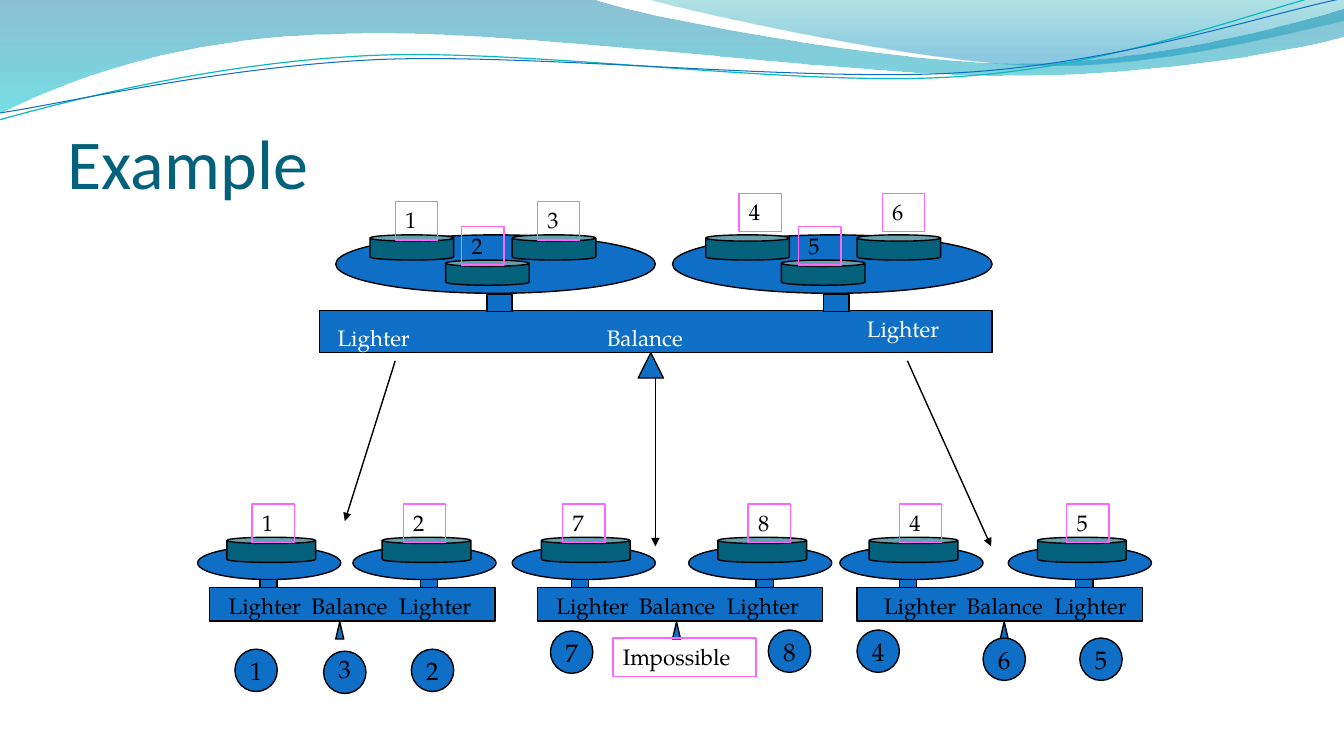
from pptx import Presentation
from pptx import util as u
from pptx.dml.color import RGBColor
from pptx.enum import shapes, text
from pptx.oxml import parse_xml
from pptx.oxml.ns import nsdecls, qn
from lxml import etree

COLORS = {
    "blue": "0F6FC6", "teal": "04617B", "black": "000000", "white": "FFFFFF",
    "pink": "FF66FF", "aqua": "0AB8BF", "deep": "0074A1", "cyan": "00C6CF",
    "sea": "00A1A9", "sky": "008BBF",
}
BODY_FONT = "TeX Gyre Pagella"
KIND = shapes.MSO_SHAPE

FILLED_WAVES = [
    ([[(0, 0)], [(5.87, -0.01)], [(6.34, 0.17), (8.85, 0.63), (10.11, 0.63)],
      [(11.38, 0.63), (12.78, 0.26), (13.33, 0.09)], [(13.35, 0.36)],
      [(13.11, 0.44), (11.6, 0.76), (9.94, 0.75)],
      [(8.29, 0.75), (5.09, 0.28), (3.43, 0.34)],
      [(1.72, 0.36), (0.61, 0.83), (-0.01, 1.13)]],
     [(0, "deep", 45), (1, "cyan", 55)]),
    ([[(6.39, -0.01)], [(6.79, 0.11), (9.09, 0.62), (10.25, 0.65)],
      [(11.41, 0.69), (12.82, 0.32), (13.33, 0.21)], [(13.33, 0)]],
     [(0, "sea", 30), (0.8, "sky", 45)]),
]
LINE_WAVES = [
    ([[(-0.01, 1.19)], [(0.64, 1.01), (2.11, 0.62), (3.69, 0.55)],
      [(5.27, 0.48), (7.9, 0.87), (9.5, 0.76)],
      [(11.1, 0.66), (12.52, 0.08), (13.31, -0.1)]], "aqua", 0.85),
    ([[(0, 1.12)], [(0.63, 1.03), (2.18, 0.66), (3.78, 0.59)],
      [(5.37, 0.53), (7.96, 0.82), (9.55, 0.72)],
      [(11.15, 0.62), (12.55, 0.14), (13.34, -0.02)]], "blue", 0.75),
]
TOP_TRAYS = [
    (3.33, 4.83, [(3.67, 2.33), (4.42, 2.58), (5.08, 2.33)]),
    (6.67, 8.17, [(7, 2.33), (7.75, 2.58), (8.5, 2.33)]),
]
TOP_NUMBERS = [
    ("1", 3.92, 2), ("2", 4.58, 2.25), ("3", 5.33, 2),
    ("4", 7.33, 1.92), ("5", 7.92, 2.25), ("6", 8.75, 1.92),
]
TOP_LABELS = [("Lighter", 3.25, 3.17), ("Balance", 5.92, 3.17), ("Lighter", 8.5, 3.08)]
ARROWS = [(3.92, 3.58, 3.42, 5.17), (6.5, 3.75, 6.5, 5.42), (9, 3.58, 9.83, 5.42)]
LOWER_SCALES = [
    (2.08, 3.33, 2.17, [("1", 1.96, 2.58, 2.5), ("2", 3.5, 4.17, 4)]),
    (5.33, 6.67, 5.42, [("7", 5.08, 5.67, 5.58), ("8", 6.83, 7.5, 7.42)]),
    (8.5, 9.92, 8.67, [("4", 8.33, 8.92, 8.92), ("5", 10, 10.67, 10.58)]),
]
RESULTS = [
    ("1", 2.33, 6.44), ("3", 3.21, 6.46, 0.08), ("2", 4.08, 6.44), ("7", 5.46, 6.26),
    ("8", 7.62, 6.25), ("4", 8.5, 6.25), ("6", 9.75, 6.33), ("5", 10.71, 6.33),
]


def rgb(name):
    return RGBColor.from_string(COLORS[name])


def write(shape, content, size=16, color="black", font=BODY_FONT, align="LEFT",
          anchor="TOP", insets=(0.1, 0.05, 0.1, 0.05), tabs=()):
    frame = shape.text_frame
    frame.word_wrap = True
    frame.auto_size = text.MSO_AUTO_SIZE.NONE
    frame.vertical_anchor = text.MSO_ANCHOR[anchor]
    (frame.margin_left, frame.margin_top,
     frame.margin_right, frame.margin_bottom) = map(u.Inches, insets)
    frame.text = content
    paragraph = frame.paragraphs[0]
    paragraph.alignment = text.PP_ALIGN[align]
    if tabs:
        stops = etree.SubElement(paragraph._p.get_or_add_pPr(), qn("a:tabLst"))
        for stop in tabs:
            etree.SubElement(stops, qn("a:tab"), pos=str(u.Inches(stop)), algn="l")
    paragraph.font.size = u.Pt(size)
    paragraph.font.name = font
    paragraph.font.color.rgb = rgb(color)


def add_figure(slide, kind, left, top, width, height, fill="blue", line="black"):
    shape = slide.shapes.add_shape(kind, *map(u.Inches, (left, top, width, height)))
    shape.shadow.inherit = False
    if fill:
        shape.fill.solid()
        shape.fill.fore_color.rgb = rgb(fill)
    else:
        shape.fill.background()
    shape.line.color.rgb = rgb(line)
    shape.line.width = u.Pt(1)
    return shape


def add_coin(slide, left, top, width):
    add_figure(slide, KIND.CAN, left, top, width, 0.25, "teal")


def add_pink_box(slide, content, left, top, width=0.42):
    write(add_figure(slide, KIND.RECTANGLE, left, top, width, 0.38, None, "pink"), content)


def add_label(slide, content, left, top, width=1, **style):
    box = slide.shapes.add_textbox(*map(u.Inches, (left, top, width, 0.37)))
    write(box, content, **style)


def add_arrow(slide, *ends):
    arrow = slide.shapes.add_connector(shapes.MSO_CONNECTOR.STRAIGHT, *map(u.Inches, ends))
    arrow.line.color.rgb = rgb("black")
    arrow.line.width = u.Pt(1)
    arrow.line._get_or_add_ln().append(
        parse_xml(f'<a:tailEnd {nsdecls("a")} type="triangle"/>'))
    etree.SubElement(arrow._element.spPr, qn("a:effectLst"))


def bend_segments(wave, segments):
    straight = iter(list(wave._element.iter(qn("a:lnTo"))))
    for segment in segments[1:]:
        pieces = [next(straight) for _ in segment]
        if len(pieces) == 3:
            curve = etree.Element(qn("a:cubicBezTo"))
            pieces[0].addprevious(curve)
            for piece in pieces:
                curve.append(piece[0])
                piece.getparent().remove(piece)


def add_wave(slide, segments, close):
    points = [(u.Inches(x), u.Inches(y)) for segment in segments for x, y in segment]
    builder = slide.shapes.build_freeform(*points[0])
    builder.add_line_segments(points[1:], close=close)
    wave = builder.convert_to_shape()
    bend_segments(wave, segments)
    wave.shadow.inherit = False
    return wave


def add_filled_wave(slide, segments, stops):
    wave = add_wave(slide, segments, True)
    wave.line.fill.background()
    wave.fill.gradient()
    wave.fill.gradient_angle = 270
    for stop, (position, color, opacity) in zip(wave.fill.gradient_stops, stops):
        stop.position = position
        stop.color.rgb = rgb(color)
        tone = stop._gs.find(qn("a:srgbClr"))
        etree.SubElement(tone, qn("a:alpha"), val=str(opacity * 1000))


def add_line_wave(slide, segments, color, width):
    wave = add_wave(slide, segments, False)
    wave.fill.background()
    wave.line.color.rgb = rgb(color)
    wave.line.width = u.Pt(width)


def add_top_scale(slide):
    add_figure(slide, KIND.RECTANGLE, 3.17, 3.08, 6.67, 0.42)
    for tray, post, coins in TOP_TRAYS:
        add_figure(slide, KIND.OVAL, tray, 2.33, 3.17, 0.58)
        for left, top in coins:
            add_coin(slide, left, top, 0.83)
        add_figure(slide, KIND.RECTANGLE, post, 2.92, 0.25, 0.17)
    add_figure(slide, KIND.ISOSCELES_TRIANGLE, 6.33, 3.5, 0.25, 0.25)
    for label in TOP_LABELS:
        add_label(slide, *label, color="white")
    for number in TOP_NUMBERS:
        add_pink_box(slide, *number)


def add_lower_scale(slide, beam, pivot, label, trays):
    add_figure(slide, KIND.RECTANGLE, beam, 5.83, 2.83, 0.33)
    for number, tray, post, box in trays:
        add_figure(slide, KIND.OVAL, tray, 5.42, 1.42, 0.33)
        add_coin(slide, tray + 0.29, 5.33, 0.88)
        add_figure(slide, KIND.RECTANGLE, post, 5.75, 0.17, 0.08)
        add_pink_box(slide, number, box, 5)
    add_figure(slide, KIND.ISOSCELES_TRIANGLE, pivot, 6.17, 0.08, 0.17)
    add_label(slide, "Lighter\tBalance\tLighter", label, 5.83, 2.67, tabs=(0.82, 1.69))


def add_result(slide, number, left, top, lift=0):
    circle = add_figure(slide, KIND.OVAL, left, top, 0.42, 0.42)
    write(circle, number, size=18, align="CENTER", anchor="MIDDLE", insets=(0, 0, 0, lift))


def main():
    presentation = Presentation()
    presentation.slide_width = u.Inches(13.33)
    presentation.slide_height = u.Inches(7.5)
    slide = presentation.slides.add_slide(presentation.slide_layouts[5])
    for wave in FILLED_WAVES:
        add_filled_wave(slide, *wave)
    for wave in LINE_WAVES:
        add_line_wave(slide, *wave)
    title = slide.shapes.title
    title.left, title.top, title.width, title.height = map(u.Inches, (0.67, 0.77, 12.11, 1.25))
    write(title, "Example", size=50, color="teal", font="Calibri", anchor="BOTTOM",
          insets=(0, 0.05, 0, 0))
    add_top_scale(slide)
    for arrow in ARROWS:
        add_arrow(slide, *arrow)
    for scale in LOWER_SCALES:
        add_lower_scale(slide, *scale)
    for result in RESULTS:
        add_result(slide, *result)
    add_pink_box(slide, "Impossible", 6.08, 6.33, 1.42)
    presentation.save("out.pptx")


if __name__ == "__main__":
    main()
